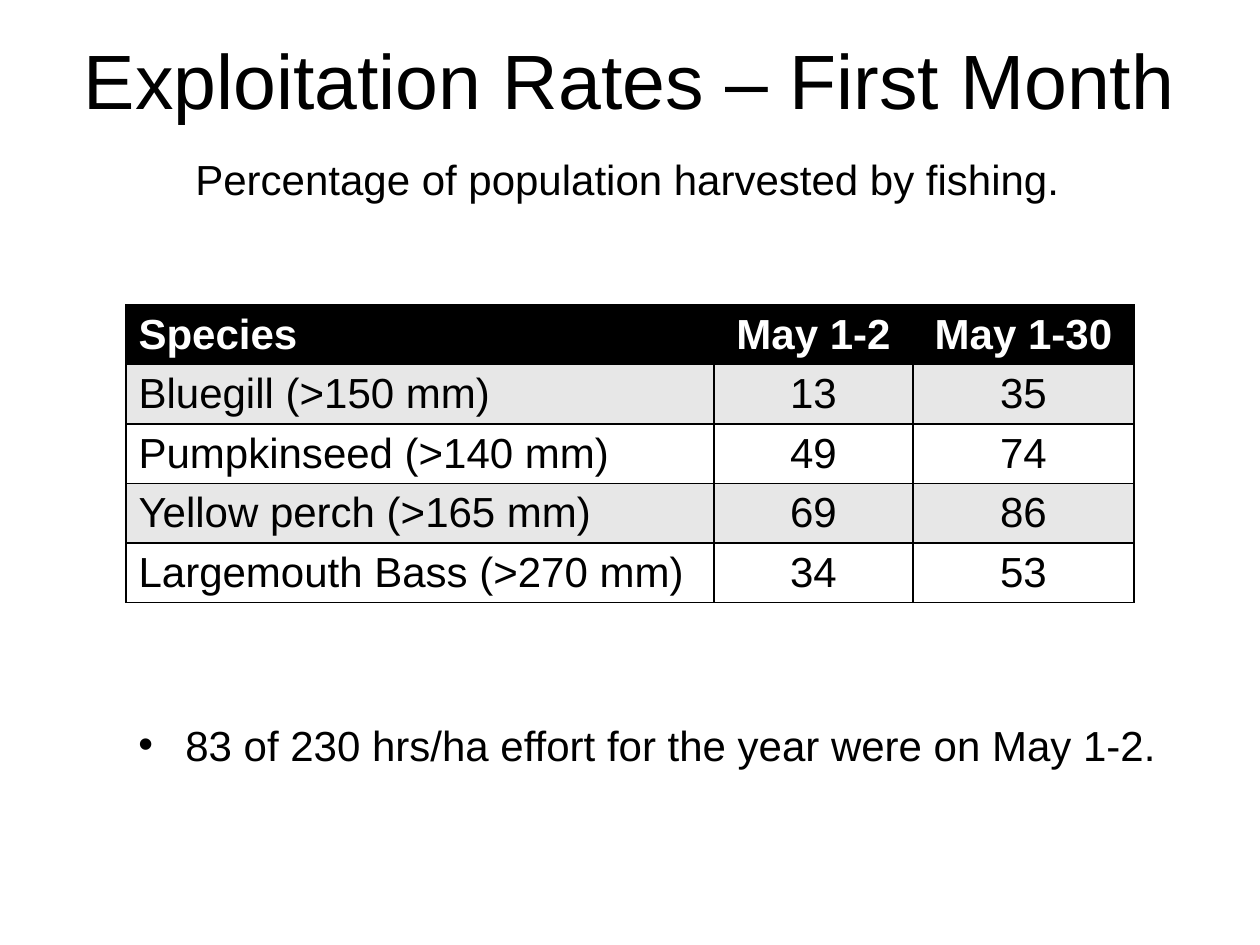
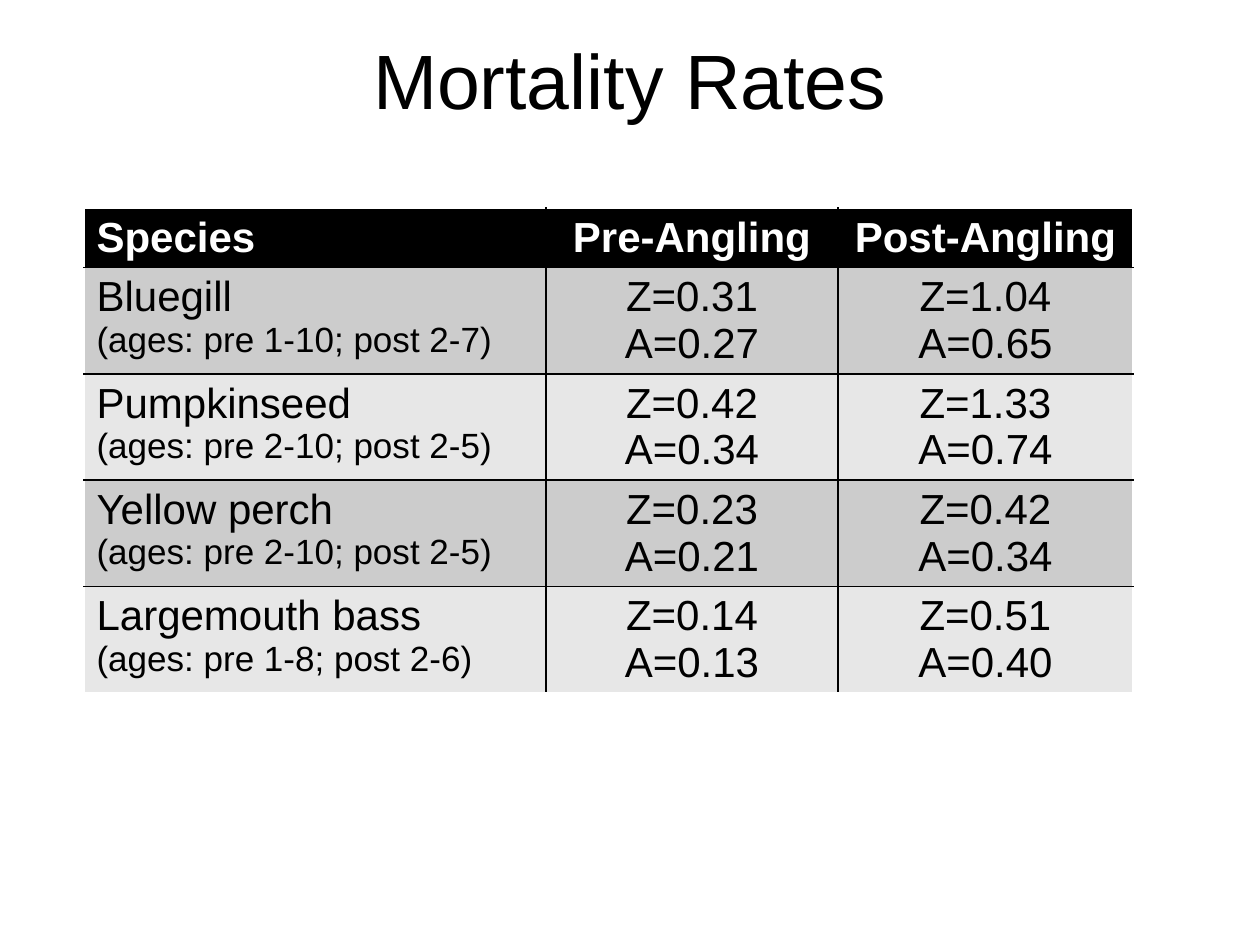
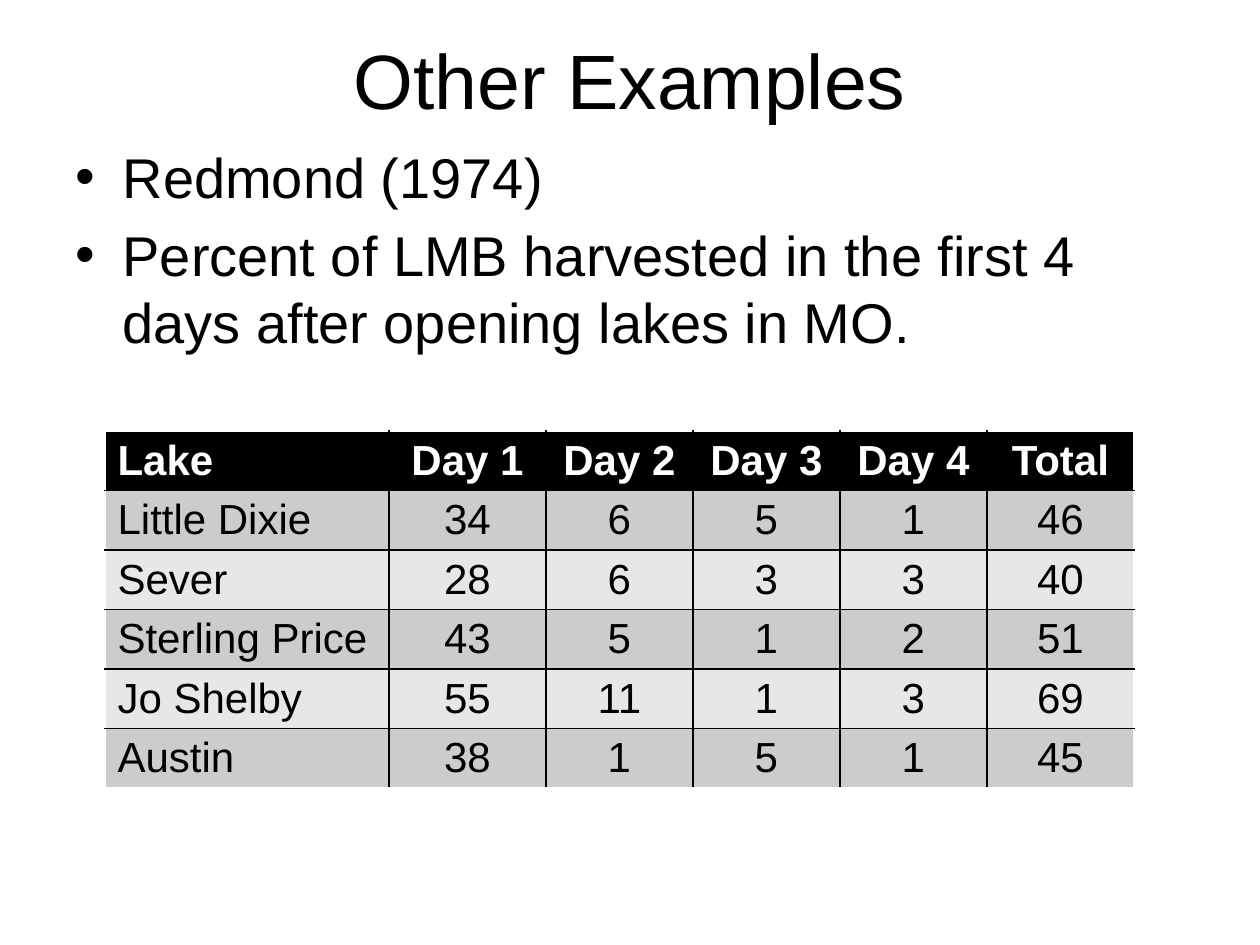
"""Build three slides on fish exploitation and mortality rates."""
import pptx
import pptx.dml.color
import pptx.enum.text
import pptx.oxml.ns
import pptx.util
from lxml import etree

PX = 7257
FONT = "Arial"
COLORS = {"black": "000000", "white": "FFFFFF", "light": "E7E7E7", "grey": "CCCCCC"}
ALIGN = pptx.enum.text.PP_ALIGN
TITLE_BOX = (63, 0, 1134, 158)
HANGING_INDENT = 47


def rgb(name):
    """Return the named colour."""
    return pptx.dml.color.RGBColor.from_string(COLORS[name])


def to_emu(*lengths):
    """Turn px lengths into EMU."""
    return [pptx.util.Emu(length * PX) for length in lengths]


def place(shape, box):
    """Move a shape to a px box."""
    shape.left, shape.top, shape.width, shape.height = to_emu(*box)


def add_child(parent, tag, **attributes):
    """Append a DrawingML element and return it."""
    return etree.SubElement(parent, pptx.oxml.ns.qn(tag), attributes)


def write_text(frame, text, size=24, color="black", bold=False, align=ALIGN.LEFT,
               bullet=False, detail_size=None):
    """Write one paragraph per line; detail_size applies after the first line."""
    for index, line in enumerate(text.split("\n")):
        paragraph = frame.add_paragraph() if index else frame.paragraphs[0]
        paragraph.alignment = align
        run = paragraph.add_run()
        run.text = line
        run.font.name = FONT
        run.font.size = pptx.util.Pt(detail_size if index and detail_size else size)
        run.font.bold = bold
        run.font.color.rgb = rgb(color)
        if bullet:
            properties = paragraph._p.get_or_add_pPr()
            indent = HANGING_INDENT * PX
            properties.set("marL", str(indent))
            properties.set("indent", str(-indent))
            add_child(properties, "a:buFont", typeface=FONT)
            add_child(properties, "a:buChar", char="•")


def add_titled_slide(presentation, layout_index, title):
    """Add a slide with the shared title style."""
    slide = presentation.slides.add_slide(presentation.slide_layouts[layout_index])
    place(slide.shapes.title, TITLE_BOX)
    frame = slide.shapes.title.text_frame
    frame.vertical_anchor = pptx.enum.text.MSO_ANCHOR.MIDDLE
    write_text(frame, title, size=44, align=ALIGN.CENTER)
    return slide


def add_note(slide, box, text, **text_format):
    """Add an unwrapped line of text."""
    shape = slide.shapes.add_textbox(*to_emu(*box))
    shape.text_frame.word_wrap = False
    shape.text_frame.auto_size = pptx.enum.text.MSO_AUTO_SIZE.SHAPE_TO_FIT_TEXT
    write_text(shape.text_frame, text, **text_format)


def set_borders(cell, colors):
    """Draw one-point borders in the order left, right, top, bottom."""
    properties = cell._tc.get_or_add_tcPr()
    for side, color in zip("LRTB", colors):
        line = add_child(properties, f"a:ln{side}", w=str(pptx.util.Pt(1)))
        fill = add_child(line, "a:solidFill")
        add_child(fill, "a:srgbClr", val=COLORS[color])


def add_data_table(slide, left, top, widths, rows, row_height=59, header_height=59,
                   bands=("grey", "light"), edge="white"):
    """Add a table with a black header, banded rows and a coloured outer edge."""
    heights = [header_height] + [row_height] * (len(rows) - 1)
    box = to_emu(left, top, sum(widths), sum(heights))
    table = slide.shapes.add_table(len(rows), len(widths), *box).table
    table.horz_banding = False
    for column, width in zip(table.columns, to_emu(*widths)):
        column.width = width
    for row, height in zip(table.rows, to_emu(*heights)):
        row.height = height
    last_row, last_column = len(rows) - 1, len(widths) - 1
    for row_index, values in enumerate(rows):
        header = row_index == 0
        for column_index, value in enumerate(values):
            cell = table.cell(row_index, column_index)
            on_edge = (column_index == 0, column_index == last_column,
                       header, row_index == last_row)
            set_borders(cell, [edge if outer else "black" for outer in on_edge])
            cell.fill.solid()
            cell.fill.fore_color.rgb = rgb("black" if header else bands[(row_index - 1) % 2])
            write_text(cell.text_frame, value, bold=header,
                       color="white" if header else "black",
                       align=ALIGN.CENTER if column_index else ALIGN.LEFT,
                       detail_size=None if column_index else 20)


def build_exploitation(presentation):
    """Build the slide of first-month exploitation rates."""
    slide = add_titled_slide(presentation, 5, "Exploitation Rates – First Month")
    add_data_table(slide, 126, 305, (588, 199, 221), [
        ("Species", "May 1-2", "May 1-30"),
        ("Bluegill (>150 mm)", "13", "35"),
        ("Pumpkinseed (>140 mm)", "49", "74"),
        ("Yellow perch (>165 mm)", "69", "86"),
        ("Largemouth Bass (>270 mm)", "34", "53"),
    ], bands=("light", "white"), edge="black")
    add_note(slide, (183, 147, 898, 63), "Percentage of population harvested by fishing.")
    add_note(slide, (126, 713, 1053, 63),
             "83 of 230 hrs/ha effort for the year were on May 1-2.", bullet=True)


def build_mortality(presentation):
    """Build the slide of mortality rates before and after angling."""
    slide = add_titled_slide(presentation, 5, "Mortality Rates")
    add_data_table(slide, 84, 208, (462, 292, 295), [
        ("Species", "Pre-Angling", "Post-Angling"),
        ("Bluegill\n(ages: pre 1-10; post 2-7)", "Z=0.31\nA=0.27", "Z=1.04\nA=0.65"),
        ("Pumpkinseed\n(ages: pre 2-10; post 2-5)", "Z=0.42\nA=0.34", "Z=1.33\nA=0.74"),
        ("Yellow perch\n(ages: pre 2-10; post 2-5)", "Z=0.23\nA=0.21", "Z=0.42\nA=0.34"),
        ("Largemouth bass\n(ages: pre 1-8; post 2-6)", "Z=0.14\nA=0.13", "Z=0.51\nA=0.40"),
    ], row_height=106)


def build_examples(presentation):
    """Build the slide of harvest in other lakes."""
    slide = add_titled_slide(presentation, 1, "Other Examples")
    body = slide.placeholders[1]
    place(body, (63, 136, 1134, 242))
    write_text(body.text_frame, "Redmond (1974)\nPercent of LMB harvested in the first 4 "
               "days after opening lakes in MO.", size=32, bullet=True)
    add_data_table(slide, 105, 431, (284, 157, 147, 147, 147, 147), [
        ("Lake", "Day 1", "Day 2", "Day 3", "Day 4", "Total"),
        ("Little Dixie", "34", "6", "5", "1", "46"),
        ("Sever", "28", "6", "3", "3", "40"),
        ("Sterling Price", "43", "5", "1", "2", "51"),
        ("Jo Shelby", "55", "11", "1", "3", "69"),
        ("Austin", "38", "1", "5", "1", "45"),
    ])


def main():
    """Build and save the presentation."""
    presentation = pptx.Presentation()
    presentation.slide_width = pptx.util.Inches(10)
    presentation.slide_height = pptx.util.Inches(7.5)
    build_exploitation(presentation)
    build_mortality(presentation)
    build_examples(presentation)
    presentation.save("out.pptx")


if __name__ == "__main__":
    main()
